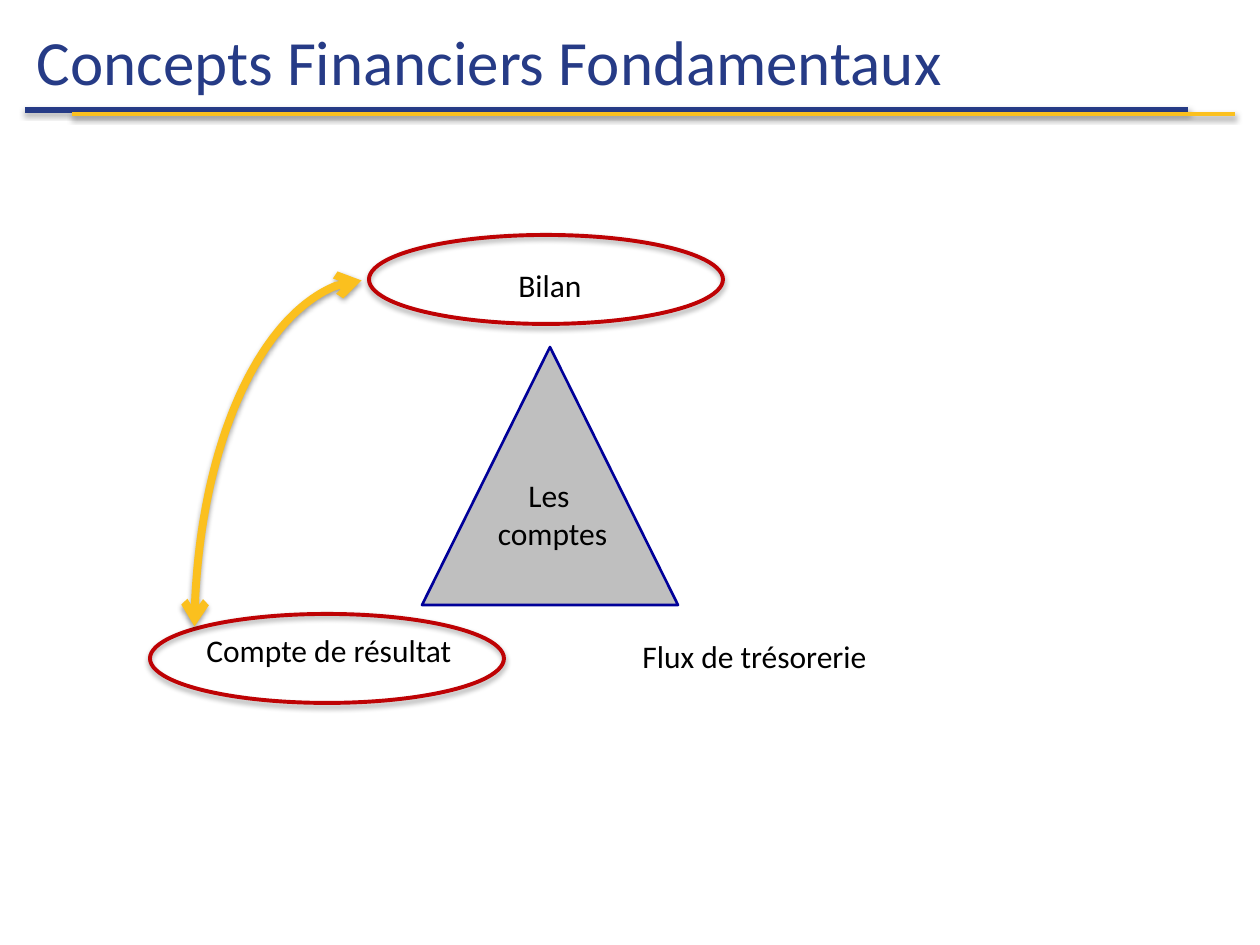
from lxml.etree import SubElement
from pptx import Presentation
from pptx.dml.color import RGBColor
from pptx.enum.shapes import MSO_CONNECTOR, MSO_SHAPE
from pptx.enum.text import MSO_ANCHOR, MSO_AUTO_SIZE, PP_ALIGN
from pptx.oxml.ns import qn
from pptx.util import Inches, Pt

NAVY, GOLD, RED = "263B86", "FBC01E", "BE0204"
color = RGBColor.from_string


def px(*vals):
    """Turn lengths in px into EMU."""
    return [round(v * Inches(1) / 126) for v in vals]


def shade(shape, alpha, dist):
    """Give a shape a soft black shadow that falls straight down."""
    effects = SubElement(shape._element.spPr, qn("a:effectLst"))
    outer = SubElement(effects, qn("a:outerShdw"), blurRad="40000",
                       dist=str(dist), dir="5400000", rotWithShape="0")
    black = SubElement(outer, qn("a:srgbClr"), val="000000")
    SubElement(black, qn("a:alpha"), val=str(alpha * 1000))


prs = Presentation()
prs.slide_width, prs.slide_height = px(1260, 945)
slide = prs.slides.add_slide(prs.slide_layouts[5])
shapes = slide.shapes

# Title and its two rules
title = shapes.title
title.left, title.top, title.width, title.height = px(0, 3, 1260, 115)
frame = title.text_frame
frame.text = "Concepts Financiers Fondamentaux"
frame.auto_size = MSO_AUTO_SIZE.NONE
frame.vertical_anchor = MSO_ANCHOR.MIDDLE
para = frame.paragraphs[0]
para.alignment = PP_ALIGN.LEFT
para._p.get_or_add_pPr().set("marL", str(px(24)[0]))
font = para.runs[0].font
font.name, font.size = "Calibri", Pt(36)
font.color.rgb = color(NAVY)

for left, top, tint, width in [(25, 110, NAVY, 3), (72, 114, GOLD, 2)]:
    rule = shapes.add_connector(MSO_CONNECTOR.STRAIGHT,
                                *px(left, top, left + 1163, top))
    rule.line.color.rgb = color(tint)
    rule.line.width = Pt(width)
    shade(rule, 38, 20000)

# Triangle of the accounts
tri = shapes.add_shape(MSO_SHAPE.ISOSCELES_TRIANGLE, *px(422, 347, 256, 258))
tri.shadow.inherit = False
tri.fill.solid()
tri.fill.fore_color.rgb = color("BFBFBF")
tri.line.color.rgb = color("000099")
tri.line.width = Pt(1.5)

# Ellipses around the two linked accounts
for left, top in [(150, 614), (369, 235)]:
    oval = shapes.add_shape(MSO_SHAPE.OVAL, *px(left, top, 354, 89))
    oval.fill.background()
    oval.line.color.rgb = color(RED)
    oval.line.width = Pt(2.25)
    shade(oval, 35, 23000)

# Labels
labels = [
    ("Bilan", (477, 260, 146, 50), PP_ALIGN.CENTER),
    ("Compte de résultat", (194, 625, 377, 79), PP_ALIGN.LEFT),
    ("Flux de trésorerie", (630, 631, 373, 79), PP_ALIGN.LEFT),
    ("Les \ncomptes", (461, 470, 183, 89), PP_ALIGN.CENTER),
]
for text, place, align in labels:
    frame = shapes.add_textbox(*px(*place)).text_frame
    frame.word_wrap = True
    frame.text = text
    for para in frame.paragraphs:
        para.alignment = align
        font = para.runs[0].font
        font.name, font.size = "Calibri", Pt(18)
        font.color.rgb = color("000000")

# Curved double arrow: a quarter turn makes it leave upwards
curve = shapes.add_connector(MSO_CONNECTOR.CURVE, *px(451, 537, 105, 370))
curve.line.color.rgb = color(GOLD)
curve.line.width = Pt(4.5)
props = curve._element.spPr
props.find(qn("a:prstGeom")).set("prst", "curvedConnector2")
props.find(qn("a:xfrm")).set("rot", "5400000")
for end in ("a:headEnd", "a:tailEnd"):
    SubElement(props.find(qn("a:ln")), qn(end), type="arrow")
shade(curve, 38, 20000)

prs.save("out.pptx")
